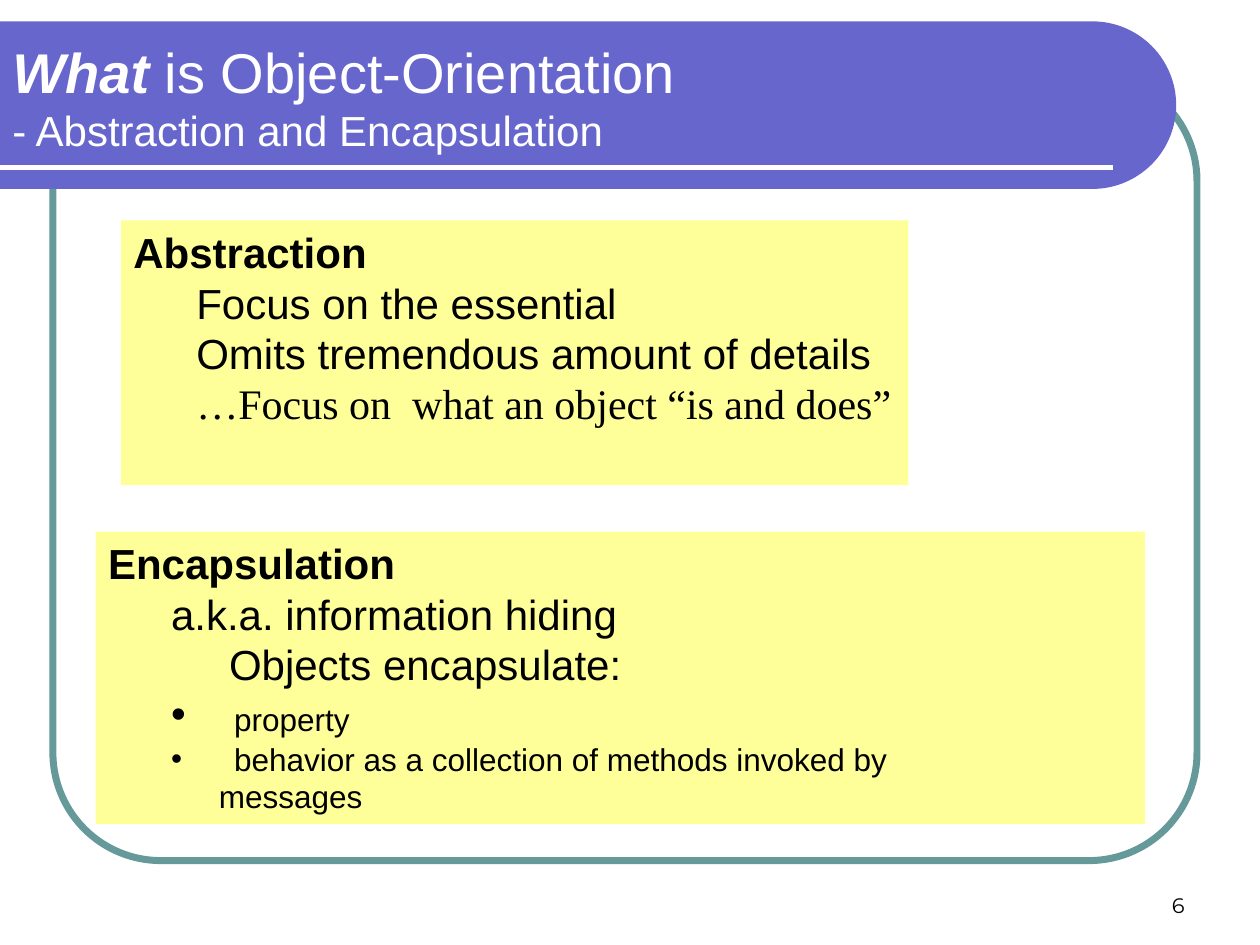
from math import cos, radians, sin

from pptx import Presentation
from pptx.dml.color import RGBColor
from pptx.enum.shapes import MSO_CONNECTOR as Connector, MSO_SHAPE as Shape
from pptx.enum.text import MSO_ANCHOR as Anchor, PP_ALIGN as Align
from pptx.oxml.ns import qn
from pptx.util import Inches, Pt

PURPLE, TEAL, YELLOW = "6666CC", "669999", "FFFF99"
WHITE, BLACK = "FFFFFF", "000000"


def color(hex_code):
    return RGBColor.from_string(hex_code)


def paint(shape, fill=None):
    shape.shadow.inherit = False
    if fill:
        shape.fill.solid()
        shape.fill.fore_color.rgb = color(fill)
        shape.line.fill.background()
    else:
        shape.fill.background()


def add_frame(slide):
    frame = slide.shapes.add_shape(
        Shape.ROUNDED_RECTANGLE, Inches(0.42), Inches(0.58), Inches(9.08), Inches(6.25))
    paint(frame)
    frame.adjustments[0] = 0.137
    frame.line.color.rgb = color(TEAL)
    frame.line.width = Pt(4)


def add_banner(slide):
    top, bottom, center_x = 0.17, 1.5, 8.67
    radius = (bottom - top) / 2
    # Half circle on the right end
    arc = [(center_x + radius * cos(radians(angle)), top + radius + radius * sin(radians(angle)))
           for angle in range(-90, 91, 3)]
    builder = slide.shapes.build_freeform(0, Inches(top), scale=1.0)
    builder.add_line_segments(
        [(Inches(x), Inches(y)) for x, y in arc + [(0, bottom)]], close=True)
    paint(builder.convert_to_shape(), PURPLE)

    rule = slide.shapes.add_connector(
        Connector.STRAIGHT, 0, Inches(1.33), Inches(8.83), Inches(1.33))
    rule.line.color.rgb = color(WHITE)
    rule.line.width = Pt(3)
    properties = rule._element.spPr
    properties.append(properties.makeelement(qn("a:effectLst"), {}))


def add_run(paragraph, text, size, hex_code=BLACK, font="Arial", bold=False, italic=False):
    run = paragraph.add_run()
    run.text = text
    run.font.name, run.font.size = font, Pt(size)
    run.font.bold, run.font.italic = bold, italic
    run.font.color.rgb = color(hex_code)


def add_text_box(slide, left, top, width, height, anchor=Anchor.TOP):
    text_frame = slide.shapes.add_textbox(
        Inches(left), Inches(top), Inches(width), Inches(height)).text_frame
    text_frame.word_wrap = True
    text_frame.vertical_anchor = anchor
    return text_frame


def add_panel(slide, left, top, width, height, heading):
    panel = slide.shapes.add_shape(
        Shape.RECTANGLE, Inches(left), Inches(top), Inches(width), Inches(height))
    paint(panel, YELLOW)
    text_frame = panel.text_frame
    text_frame.word_wrap = True
    text_frame.vertical_anchor = Anchor.TOP
    paragraph = text_frame.paragraphs[0]
    paragraph.alignment = Align.LEFT
    add_run(paragraph, heading, 24, bold=True)
    return text_frame


def add_item(text_frame, indent=0.5, hanging=0, bullet=None):
    paragraph = text_frame.add_paragraph()
    paragraph.alignment = Align.LEFT
    paragraph.level = 1
    properties = paragraph._p.get_or_add_pPr()
    properties.set("marL", str(Inches(indent)))
    properties.set("indent", str(-Inches(hanging)))
    if bullet:
        for tag, name, value in (("a:buFont", "typeface", "Arial"), ("a:buChar", "char", bullet)):
            properties.append(properties.makeelement(qn(tag), {name: value}))
    return paragraph


def add_bullet(text_frame, lines, tab_size):
    paragraph = add_item(text_frame, 0.88, 0.38, "•")
    add_run(paragraph, "\t", tab_size)
    for number, line in enumerate(lines):
        if number:
            paragraph.add_line_break()
        add_run(paragraph, line, 18)


def main():
    presentation = Presentation()
    presentation.slide_width, presentation.slide_height = Inches(10), Inches(7.5)
    slide = presentation.slides.add_slide(presentation.slide_layouts[6])

    # Background decoration
    add_frame(slide)
    add_banner(slide)

    # Slide number
    number = add_text_box(slide, 7.17, 6.83, 2.33, 0.5, Anchor.BOTTOM).paragraphs[0]
    number.alignment = Align.RIGHT
    add_run(number, "6", 12, font="Montserrat")

    # Encapsulation panel
    encapsulation = add_panel(slide, 0.76, 4.22, 8.33, 2.32, "Encapsulation")
    add_run(add_item(encapsulation), "a.k.a. information hiding", 24)
    add_run(add_item(encapsulation, 0.96), "Objects encapsulate:", 24)
    add_bullet(encapsulation, ["property"], 24)
    add_bullet(encapsulation,
               ["behavior as a collection of methods invoked by", "messages"], 18)

    # Abstraction panel
    abstraction = add_panel(slide, 0.96, 1.75, 6.25, 2.1, "Abstraction")
    for text, font in (("Focus on the essential", "Arial"),
                       ("Omits tremendous amount of details", "Arial"),
                       ("…Focus on  what an object “is and does”", "Times New Roman")):
        add_run(add_item(abstraction), text, 24, font=font)

    # Title
    title = add_text_box(slide, 0, 0.25, 8.5, 1.03)
    add_run(title.paragraphs[0], "What", 32, WHITE, bold=True, italic=True)
    add_run(title.paragraphs[0], " is Object-Orientation", 32, WHITE)
    add_run(title.add_paragraph(), "- Abstraction and Encapsulation", 24, WHITE)

    presentation.save("out.pptx")


if __name__ == "__main__":
    main()
